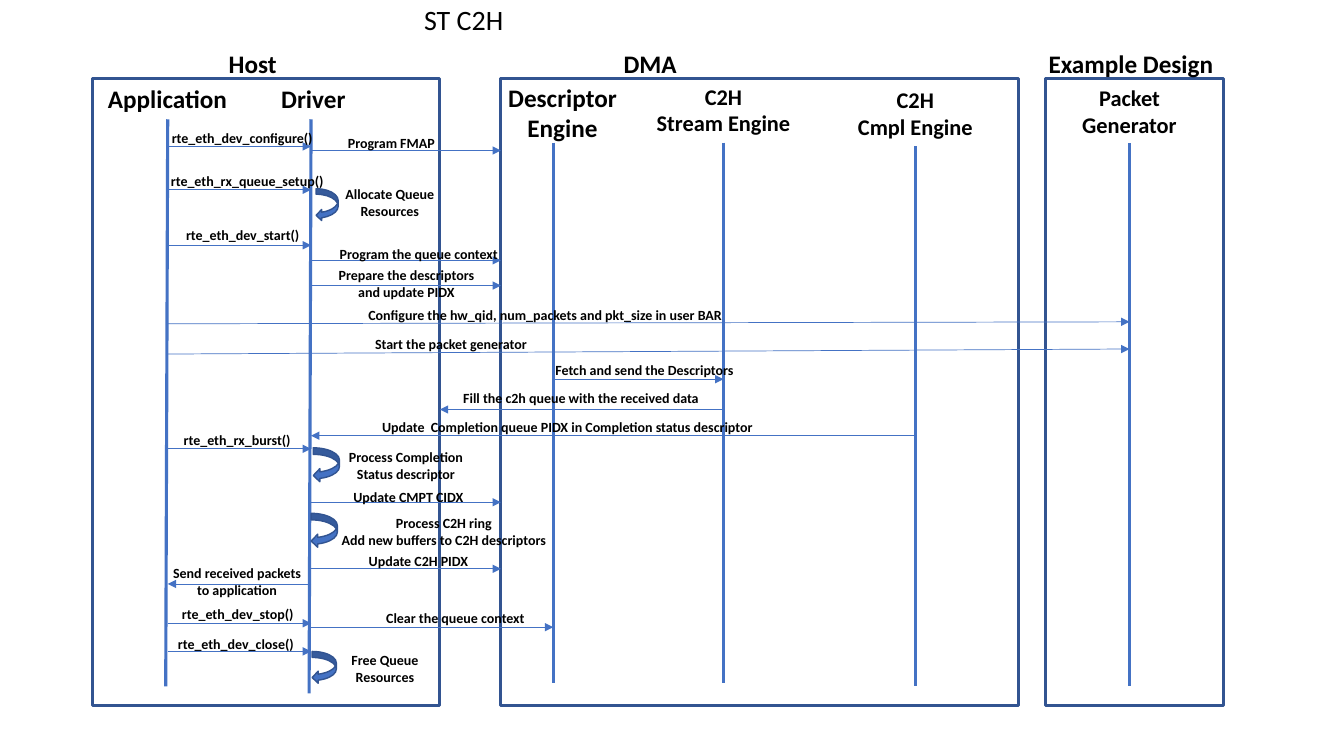
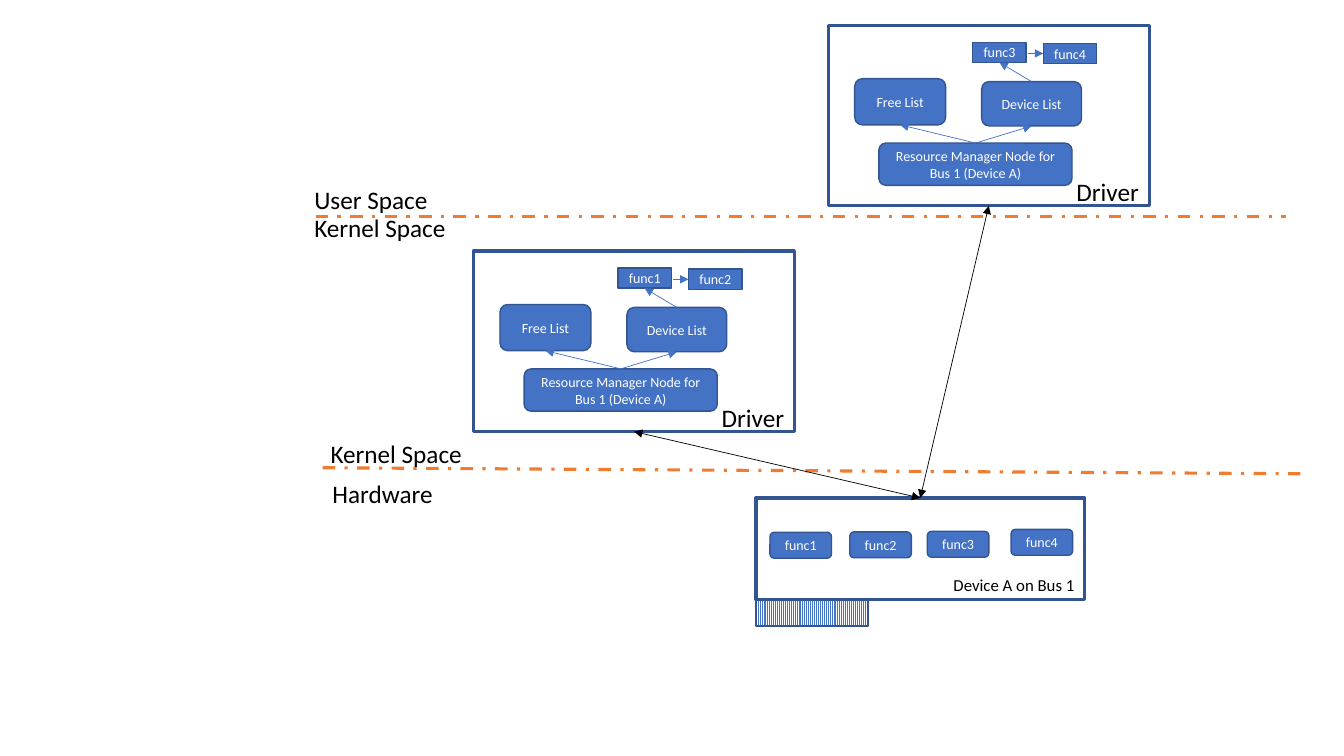
from dataclasses import dataclass

from lxml.etree import SubElement
from pptx import Presentation
from pptx.dml.color import RGBColor
from pptx.enum.dml import MSO_LINE, MSO_PATTERN
from pptx.enum.shapes import MSO_CONNECTOR, MSO_SHAPE
from pptx.enum.text import MSO_ANCHOR, PP_ALIGN
from pptx.oxml.ns import qn
from pptx.util import Pt


@dataclass(frozen=True)
class Theme:
    """Colours, font, type sizes and line widths of the deck."""
    ink: RGBColor = RGBColor(0, 0, 0)
    white: RGBColor = RGBColor(255, 255, 255)
    blue: RGBColor = RGBColor(0x44, 0x72, 0xC4)
    navy: RGBColor = RGBColor(0x32, 0x54, 0x91)
    amber: RGBColor = RGBColor(0xED, 0x7D, 0x31)
    font: str = "Calibri"
    title: int = 20
    head: int = 18
    sub: int = 16
    note: int = 12
    small: int = 10
    thick: float = 2.25
    edge: float = 1
    thin: float = 0.5


@dataclass(frozen=True)
class Box:
    """An area in points."""
    x: float
    y: float
    w: float
    h: float

    def inner(self, x, y, w, h):
        """Give an area placed from this one's top left corner."""
        return Box(self.x + x, self.y + y, w, h)

    def spot(self, x, y):
        """Give a point placed from the top left corner."""
        return self.x + x, self.y + y

    @property
    def top(self):
        """Give the middle of the top edge."""
        return self.spot(self.w / 2, 0)

    @property
    def foot(self):
        """Give the middle of the bottom edge."""
        return self.spot(self.w / 2, self.h)

    @property
    def size(self):
        """Give the four lengths that python-pptx asks for."""
        return Pt(self.x), Pt(self.y), Pt(self.w), Pt(self.h)


LOOK = Theme()
LEFT, MID, RIGHT = PP_ALIGN.LEFT, PP_ALIGN.CENTER, PP_ALIGN.RIGHT


def write(shape, text, size, tint, align, bold=False):
    """Set and format the text of a shape."""
    frame = shape.text_frame
    frame.word_wrap = True
    frame.text = text
    for line in frame.paragraphs:
        line.alignment = align
        for run in line.runs:
            font = run.font
            font.name, font.size, font.bold = LOOK.font, Pt(size), bold
            font.color.rgb = tint


def label(slide, box, text, size, align=LEFT, bold=False):
    """Add a black text box."""
    write(slide.shapes.add_textbox(*box.size), text, size, LOOK.ink, align, bold)


def block(slide, box, kind=MSO_SHAPE.ROUNDED_RECTANGLE, text=""):
    """Add a blue shape with small white text."""
    shape = slide.shapes.add_shape(kind, *box.size)
    shape.shadow.inherit = False
    shape.fill.solid()
    shape.fill.fore_color.rgb = LOOK.blue
    shape.line.color.rgb = LOOK.navy
    shape.line.width = Pt(LOOK.edge)
    if text:
        write(shape, text, LOOK.small, LOOK.white, MID)
        shape.text_frame.vertical_anchor = MSO_ANCHOR.MIDDLE
    return shape


def frame(slide, box):
    """Add a white box with a thick navy edge."""
    shape = block(slide, box, MSO_SHAPE.RECTANGLE)
    shape.fill.fore_color.rgb = LOOK.white
    shape.line.width = Pt(LOOK.thick)
    return shape


def line(slide, start, end, tint=LOOK.blue, width=LOOK.thin, ends=(), dash=None):
    """Add a straight line, with arrowheads at the ends named."""
    link = slide.shapes.add_connector(
        MSO_CONNECTOR.STRAIGHT, *map(Pt, start + end))
    link.line.color.rgb = tint
    link.line.width = Pt(width)
    if dash:
        link.line.dash_style = dash
    props = link.element.spPr
    for tag in ends:
        SubElement(props.find(qn("a:ln")), qn(tag), type="triangle")
    SubElement(props, qn("a:effectLst"))


HEAD, TAIL = "a:headEnd", "a:tailEnd"

# Title, title left and width, frame left and width
GROUPS = [
    ("Host", 83, 63.4, 0, 248.4),
    ("DMA", 338.6, 120, 292, 370),
    ("Example Design", 675, 134, 681, 127.4),
]

# Heading, size, centre, heading top, line x, top, foot, lean
LANES = {
    "app": ("Application", LOOK.head, 53.8, 0, 54, 29, 434, -1.4),
    "driver": ("Driver", LOOK.head, 158, 0, 156.4, 29, 439, -1.4),
    "desc": ("Descriptor Engine", LOOK.head, 336, -1.3, 329.4, 45.6, 431.4, 0),
    "stream": ("C2H\nStream Engine", LOOK.sub, 451, -0.6, 451, 45.6, 431.4, 0),
    "cmpl": ("C2H\nCmpl Engine", LOOK.sub, 588, 1.6, 588, 48.4, 434, 0),
    "gen": ("Packet Generator", LOOK.sub, 741, 0.2, 741, 46, 434, 0),
}
STOPS = {name: lane[4] for name, lane in LANES.items()}
STOPS.update(host=248.4, dma=292)

# Text, from, to, line y, rise, label left, top, width, lines, alignment
CALLS = [
    ("rte_eth_dev_configure()", "app", "driver", 48.4, 0, 44.9, 32.6, 124.6, 1, MID),
    ("Program FMAP", "driver", "dma", 51.3, 0, 172.3, 36.2, 82.8, 1, MID),
    ("rte_eth_rx_queue_setup()", "app", "driver", 79.4, 0, 49.2, 63.5, 126, 1, LEFT),
    ("rte_eth_dev_start()", "app", "driver", 119, 0, 60, 102.4, 99.4, 1, LEFT),
    ("Program the queue context", "driver", "dma", 129.8, 0,
     166.6, 115.4, 133.2, 1, MID),
    ("Prepare the descriptors and update PIDX", "driver", "dma", 147.8, 0,
     164.4, 130.5, 120.2, 2, MID),
    ("Configure the hw_qid, num_packets and pkt_size in user BAR", "app", "gen",
     175.1, 1.4, 179.5, 159.3, 288, 1, MID),
    ("Start the packet generator", "app", "gen", 196.7, 3.6,
     191.8, 180.2, 128.9, 1, MID),
    ("Fetch and send the Descriptors", "desc", "stream", 214.7, 0,
     321.4, 198.2, 146.2, 1, MID),
    ("Fill the c2h queue with the received data", "stream", "host", 236.3, 0,
     256.6, 218.3, 185, 1, MID),
    ("Update  Completion queue PIDX in Completion status descriptor", "cmpl",
     "driver", 255, 0, 186.7, 239.2, 305.3, 1, MID),
    ("rte_eth_rx_burst()", "app", "driver", 264.4, 0, 55.7, 248.6, 95.8, 1, MID),
    ("Update CMPT CIDX", "driver", "dma", 302.6, 0, 165.8, 288.9, 120.2, 1, MID),
    ("Update C2H PIDX", "driver", "dma", 350.1, 0, 173, 335, 120.2, 1, MID),
    ("Send received packets to application", "driver", "app", 360.9, 0,
     47, 343.6, 113, 2, MID),
    ("rte_eth_dev_stop()", "app", "driver", 389, 0, 57.1, 373.1, 96.5, 1, LEFT),
    ("Clear the queue context", "driver", "desc", 391.8, 0,
     199.7, 375.3, 119.5, 1, MID),
    ("rte_eth_dev_close()", "app", "driver", 409.1, 0, 54.2, 394, 99.4, 1, LEFT),
]

# Text, arrow left, top, width, height, label left, top, width
LOOPS = [
    ("Allocate Queue Resources", 160, 78.6, 15.8, 23, 165.1, 72.9, 95),
    ("Process Completion Status descriptor", 158, 263.7, 18.7, 24.5,
     164.4, 260.8, 119.5),
    ("Process C2H ring\nAdd new buffers to C2H descriptors", 156.5, 310.5, 18.7, 24.5,
     163.7, 307.6, 175),
    ("Free Queue Resources", 157.2, 409.1, 17.3, 23, 177.4, 405.5, 63.4),
]


def groups(slide, box):
    """Add the framed groups and their titles."""
    for text, x, wide, left, width in GROUPS:
        frame(slide, box.inner(left, 0, width, box.h))
        label(slide, box.inner(x, -25.6, wide, 29), text, LOOK.head, MID, True)


def lanes(slide, box):
    """Add the headed lifelines."""
    for text, size, mid, y, x, top, foot, lean in LANES.values():
        label(slide, box.inner(mid - 60, y, 120, top - y), text, size, MID, True)
        line(slide, box.spot(x, top), box.spot(x + lean, foot), width=LOOK.thick)


def calls(slide, box):
    """Add the arrows between lifelines, with their labels."""
    for text, start, end, y, rise, x, top, width, rows, align in CALLS:
        line(slide, box.spot(STOPS[start], y), box.spot(STOPS[end], y - rise),
             ends=[TAIL])
        label(slide, box.inner(x, top, width, 7.2 + 12.2 * rows), text,
              LOOK.small, align, True)


def loops(slide, box):
    """Add the steps that the driver runs by itself."""
    for text, x, y, w, h, left, top, width in LOOPS:
        block(slide, box.inner(x, y, w, h), MSO_SHAPE.CURVED_LEFT_ARROW)
        label(slide, box.inner(left, top, width, 31.6), text, LOOK.small, MID, True)


def flow(slide, box):
    """Build the sequence slide."""
    label(slide, box.inner(230, -58.2, 99.4, 31.6), "ST C2H", LOOK.title)
    for draw in (groups, lanes, calls, loops):
        draw(slide, box)


def zone(slide, box, over, under):
    """Add a dashed divider; over and under hold a text and its offset."""
    line(slide, box.spot(0, 0), box.spot(box.w, box.h), LOOK.amber,
         LOOK.thick, dash=MSO_LINE.DASH_DOT)
    for text, x, y in (over, under):
        label(slide, box.inner(x, y, 121, 29), text, LOOK.head)


def driver(slide, box, first, second):
    """Add a driver frame with its lists and two functions."""
    frame(slide, box)
    label(slide, box.inner(170, 104.4, 83.5, 29), "Driver", LOOK.head)
    node = box.inner(36, 84.2, 138, 30.2)
    free = box.inner(18.7, 38.2, 65, 33)
    held = box.inner(109.4, 40.3, 71.3, 31.7)
    near = box.inner(103, 12.2, 38.2, 14.4)
    far = box.inner(153.4, 13, 38.2, 14.4)
    for area, text in ((node, "Resource Manager Node for Bus 1 (Device A)"),
                       (free, "Free List"), (held, "Device List")):
        block(slide, area, text=text)
    for area, text in ((near, first), (far, second)):
        block(slide, area, MSO_SHAPE.RECTANGLE, text)
    for start, end in ((held.top, near.foot), (node.top, held.foot),
                       (node.top, free.foot),
                       (near.spot(near.w + 1.4, 8), far.spot(0, 7.2))):
        line(slide, start, end, ends=[TAIL])


def device(slide, box):
    """Add the device card, its functions and its edge pins."""
    card = frame(slide, box)
    write(card, "Device A on Bus 1", LOOK.note, LOOK.ink, RIGHT)
    card.text_frame.vertical_anchor = MSO_ANCHOR.BOTTOM
    spots = [(10, 24.5), (67, 24.2), (122.4, 23.8), (182.2, 22.4)]
    for num, (x, y) in enumerate(spots, 1):
        block(slide, box.inner(x, y, 44, 18.5), text=f"func{num}")
    pins = block(slide, box.inner(0, box.h + 0.7, 80, 18), MSO_SHAPE.RECTANGLE)
    pins.fill.patterned()
    pins.fill.pattern = MSO_PATTERN.LIGHT_VERTICAL
    pins.fill.fore_color.rgb = LOOK.blue
    pins.fill.back_color.rgb = LOOK.white


def layers(slide, box):
    """Build the slide of user space, kernel space and hardware."""
    zone(slide, box.inner(230.4, 334.1, 698.4, 4.3),
         ("Kernel Space", -1.4, -24.5), ("Hardware", 0, 4.3))
    zone(slide, box.inner(225.4, 154.8, 693.4, 0),
         ("User Space", -8, -26.6), ("Kernel Space", -8, -6.5))
    card = box.inner(540, 355.7, 234.7, 72.7)
    device(slide, card)
    for x, y, first, second in ((338.4, 179.3, "func1", "func2"),
                                (591.8, 18, "func3", "func4")):
        area = box.inner(x, y, 229, 129)
        driver(slide, area, first, second)
        line(slide, area.foot, card.top, LOOK.ink, ends=[HEAD, TAIL])


def main():
    """Build and save the deck."""
    deck = Presentation()
    deck.slide_width, deck.slide_height = Pt(960), Pt(540)
    for build, box in ((flow, Box(65.8, 56.2, 808.4, 447.8)),
                       (layers, Box(0, 0, 960, 540))):
        build(deck.slides.add_slide(deck.slide_layouts[6]), box)
    deck.save("out.pptx")


main()
